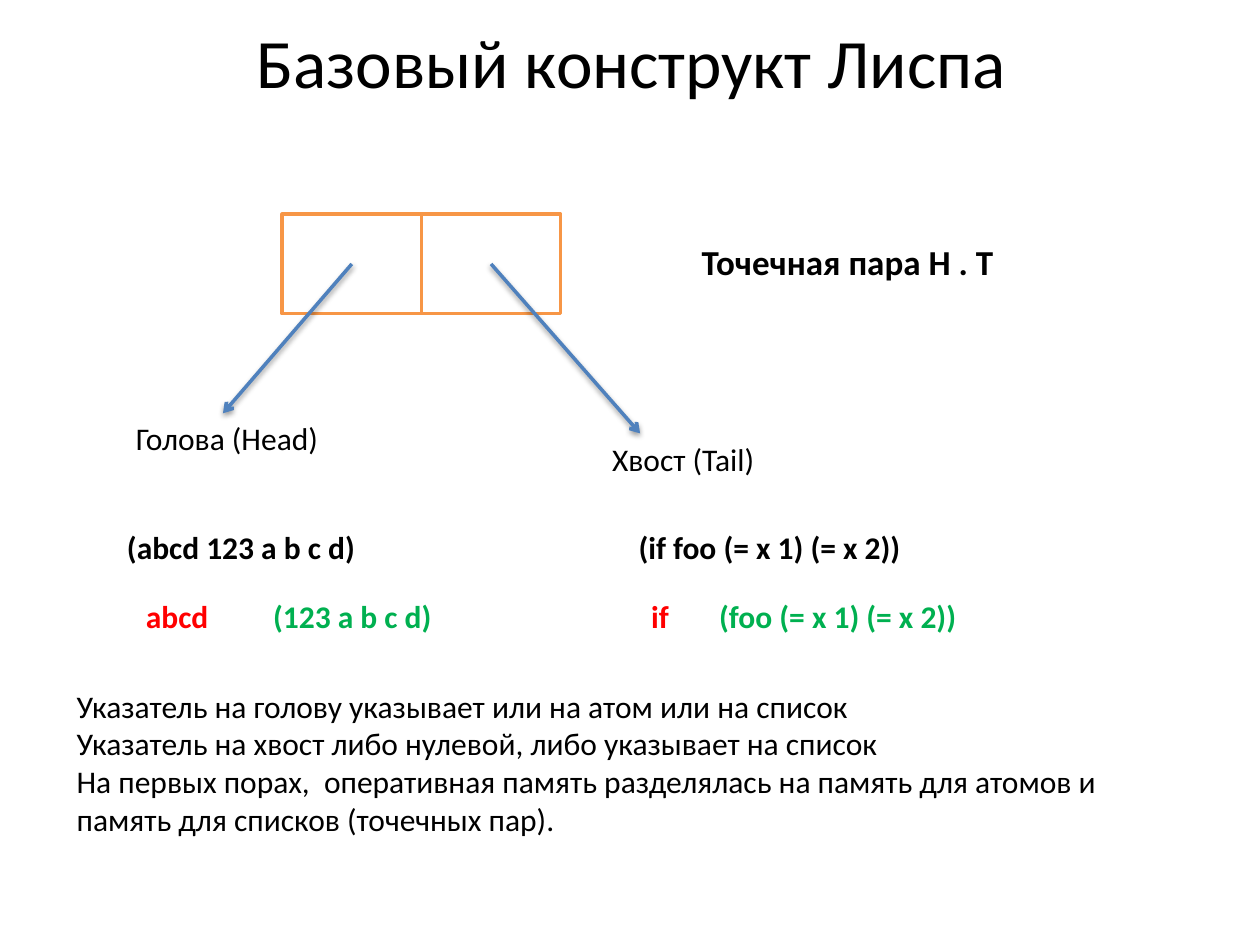
from lxml.etree import SubElement
from pptx import Presentation
from pptx.dml.color import RGBColor
from pptx.enum.shapes import MSO_CONNECTOR, MSO_SHAPE
from pptx.enum.text import MSO_ANCHOR, MSO_AUTO_SIZE, PP_ALIGN
from pptx.oxml import parse_xml
from pptx.oxml.ns import nsdecls, qn
from pptx.util import Inches, Pt

THEME = {
    "font": "Calibri",
    "text": RGBColor(0x00, 0x00, 0x00),
    "head": RGBColor(0xFF, 0x00, 0x00),
    "tail": RGBColor(0x00, 0xB0, 0x50),
    "cell_fill": RGBColor(0xFF, 0xFF, 0xFF),
    "cell_line": RGBColor(0xF7, 0x96, 0x46),
    "arrow": RGBColor(0x4F, 0x81, 0xBD),
    "title_size": Pt(39.6),
    "pair_size": Pt(20),
    "body_size": Pt(18),
    "line_width": Pt(2),
}
ARROW_SHADOW = (
    f'<a:effectLst {nsdecls("a")}>'
    '<a:outerShdw blurRad="40000" dist="20000" dir="5400000" rotWithShape="0">'
    '<a:srgbClr val="000000"><a:alpha val="38000"/></a:srgbClr>'
    "</a:outerShdw></a:effectLst>"
)


def add_run(paragraph, text, **formats):
    run = paragraph.add_run()
    run.text = text
    values = {"name": THEME["font"], "size": THEME["body_size"], **formats}
    run.font.color.rgb = values.pop("color", THEME["text"])
    for name, value in values.items():
        setattr(run.font, name, value)


def add_text(box, paragraphs, tabs=(), **formats):
    """Add a text box; each paragraph is a list of (text, colour) runs."""
    frame = slide.shapes.add_textbox(*map(Inches, box)).text_frame
    frame.word_wrap = True
    for index, runs in enumerate(paragraphs):
        paragraph = frame.add_paragraph() if index else frame.paragraphs[0]
        if tabs:
            tab_list = SubElement(paragraph._p.get_or_add_pPr(), qn("a:tabLst"))
            for position in tabs:
                SubElement(tab_list, qn("a:tab"), pos=str(Inches(position)), algn="l")
        for text, color in runs:
            add_run(paragraph, text, color=THEME[color], **formats)


prs = Presentation()
prs.slide_width, prs.slide_height = Inches(10), Inches(7.5)
slide = prs.slides.add_slide(prs.slide_layouts[5])

# Title
title = slide.shapes.title
title.left, title.top, title.width, title.height = map(Inches, (0.51, 0.21, 9, 0.54))
heading = title.text_frame
heading.auto_size = MSO_AUTO_SIZE.NONE
heading.vertical_anchor = MSO_ANCHOR.MIDDLE
heading.paragraphs[0].alignment = PP_ALIGN.CENTER
add_run(heading.paragraphs[0], "Базовый конструкт Лиспа", size=THEME["title_size"])

# Dotted pair: two adjoining cells, an arrow from each centre to its label
cell_left, cell_top, cell_width, cell_height = 2.24, 1.7, 1.105, 0.79
pointers = [
    ("Голова (Head)", (1.77, 3.28), 0.98, 1.89),
    ("Хвост (Tail)", (5.08, 3.44), 4.76, 1.5),
]
for column in range(len(pointers)):
    cell = slide.shapes.add_shape(
        MSO_SHAPE.RECTANGLE,
        Inches(cell_left + column * cell_width), Inches(cell_top),
        Inches(cell_width), Inches(cell_height),
    )
    cell.shadow.inherit = False
    cell.fill.solid()
    cell.fill.fore_color.rgb = THEME["cell_fill"]
    cell.line.color.rgb = THEME["cell_line"]
    cell.line.width = THEME["line_width"]

for column, (label, (tip_x, tip_y), label_left, label_width) in enumerate(pointers):
    arrow = slide.shapes.add_connector(
        MSO_CONNECTOR.STRAIGHT,
        Inches(cell_left + (column + 0.5) * cell_width),
        Inches(cell_top + cell_height / 2),
        Inches(tip_x), Inches(tip_y),
    )
    arrow.line.color.rgb = THEME["arrow"]
    arrow.line.width = THEME["line_width"]
    SubElement(arrow.line._get_or_add_ln(), qn("a:tailEnd"), type="arrow")
    arrow._element.spPr.append(parse_xml(ARROW_SHADOW))
    add_text((label_left, tip_y, label_width, 0.4), [[(label, "text")]])

add_text((5.47, 1.86, 3.54, 0.44), [[("Точечная пара H . T", "text")]],
         size=THEME["pair_size"], bold=True)

# Example lists, then each one split into head and tail
add_text((0.91, 4.14, 7.24, 0.4),
         [[("(abcd 123 a b c d)\t(if foo (= x 1) (= x 2))", "text")]],
         tabs=[4.06], bold=True)
add_text((1.06, 4.69, 7.24, 0.4),
         [[("abcd\t", "head"), ("(123 a b c d)\t", "tail"),
           ("if\t", "head"), ("(foo (= x 1) (= x 2))", "tail")]],
         tabs=[1.01, 4.01, 4.55], bold=True)

# Explanation
notes = [
    "Указатель на голову указывает или на атом или на список",
    "Указатель на хвост либо нулевой, либо указывает на список",
    "На первых порах,  оперативная память разделялась на память для атомов "
    "и память для списков (точечных пар).",
]
add_text((0.51, 5.4, 8.82, 1.31), [[(note, "text")] for note in notes])

prs.save("out.pptx")
